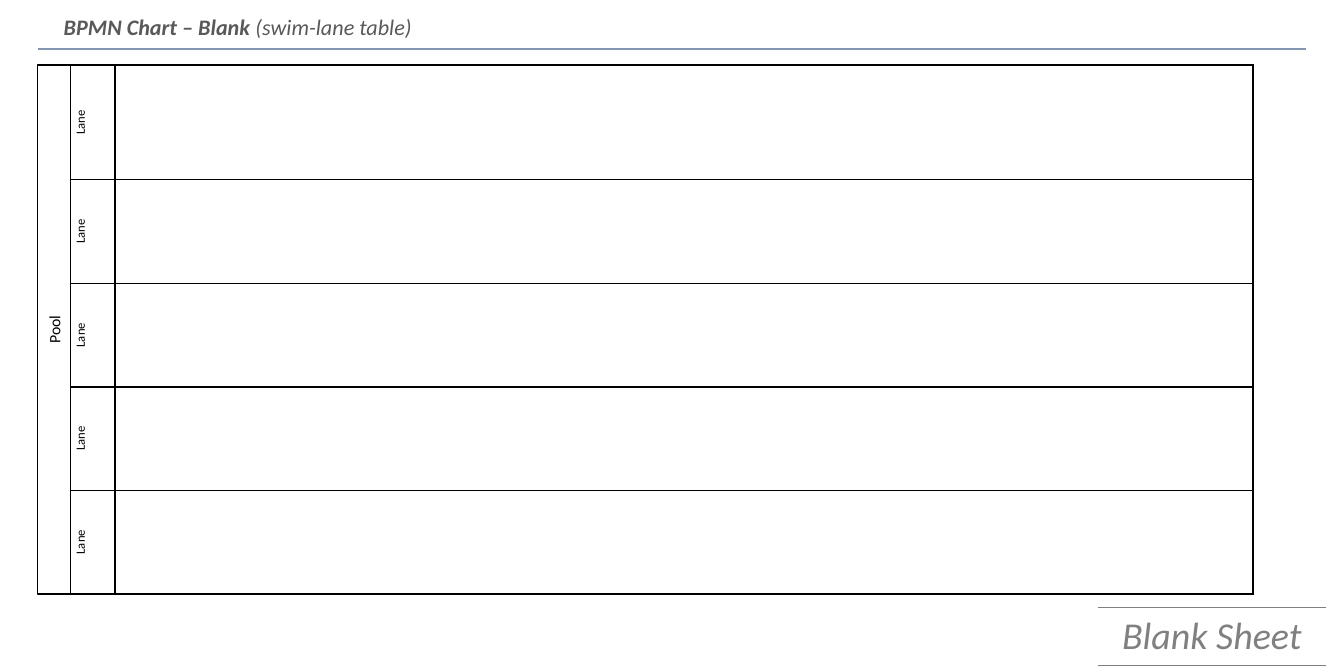
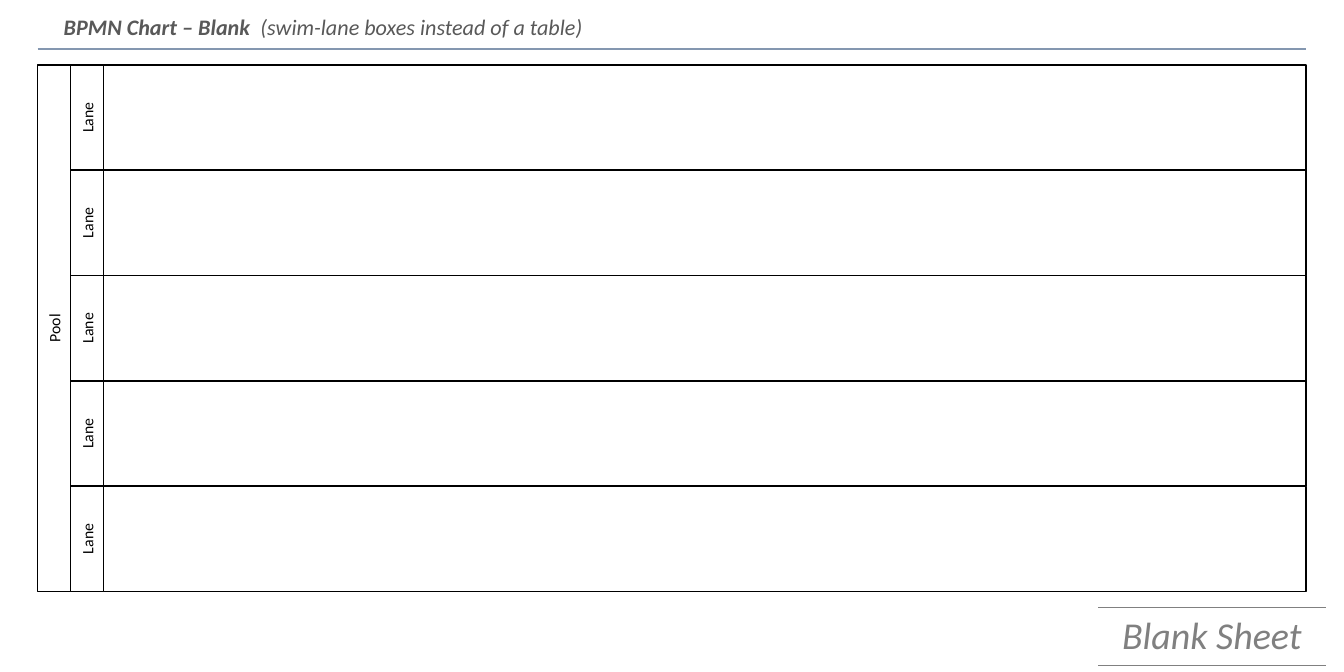
import pptx
import pptx.dml.color
import pptx.enum.shapes
import pptx.enum.text
import pptx.oxml.ns
import pptx.util
from lxml import etree

Inches = pptx.util.Inches
Align = pptx.enum.text.PP_ALIGN
Anchor = pptx.enum.text.MSO_ANCHOR

BLACK, WHITE, GREY = "000000", "FFFFFF", "808080"
TITLE_GREY, RULE_BLUE = "595959", "8497B0"
CM_PER_INCH = 2.54
LANES = 5
POOL_LEFT, POOL_TOP, HEAD_WIDTH = 0.33, 0.57, 0.29
LANE_LEFT = POOL_LEFT + HEAD_WIDTH
RIGHT = 11.48
INSET = Inches(0.02)


def rgb(color):
    return pptx.dml.color.RGBColor.from_string(color)


def write(paragraph, text, size=10, color=BLACK, bold=False, italic=False,
          align=Align.CENTER):
    """Add one formatted run to a paragraph."""
    paragraph.alignment = align
    run = paragraph.add_run()
    run.text = text
    font = run.font
    font.name, font.size = "Calibri", pptx.util.Pt(size)
    font.bold, font.italic = bold, italic
    font.color.rgb = rgb(color)


def sub(parent, tag, **attributes):
    return etree.SubElement(parent, pptx.oxml.ns.qn(tag), **attributes)


class SwimLaneDeck:
    def __init__(self):
        self.deck = pptx.Presentation()
        # Custom page of 30 by 15 cm, not the 4:3 preset
        self.deck.slide_width = Inches(30 / CM_PER_INCH)
        self.deck.slide_height = Inches(15 / CM_PER_INCH)
        self.deck.element.sldSz.attrib.pop("type", None)
        self.slide = None

    def start(self, name, remark):
        """New slide with the shared title, rule and badge."""
        self.slide = self.deck.slides.add_slide(self.deck.slide_layouts[5])
        self.title(name, remark)
        self.rule(POOL_LEFT, RIGHT, 0.43)
        self.badge("Blank Sheet")

    def title(self, name, remark):
        title = self.slide.shapes.title
        title.left, title.top = Inches(0.46), Inches(0.07)
        title.width, title.height = Inches(6.4), Inches(0.34)
        frame = title.text_frame
        frame.word_wrap = True
        frame.auto_size = pptx.enum.text.MSO_AUTO_SIZE.NONE
        frame.vertical_anchor = Anchor.TOP
        for text, bold in ((name, True), (remark, False)):
            write(frame.paragraphs[0], text, size=14, color=TITLE_GREY,
                  bold=bold, italic=True, align=Align.LEFT)

    def rule(self, left, right, y):
        rule = self.slide.shapes.add_connector(
            pptx.enum.shapes.MSO_CONNECTOR.STRAIGHT,
            Inches(left), Inches(y), Inches(right), Inches(y))
        rule.line.color.rgb = rgb(RULE_BLUE)
        rule.line.width = pptx.util.Pt(1.5)
        sub(rule._element.spPr, "a:effectLst")

    def table(self, left, top, widths, heights):
        """Plain table without header or banding."""
        table = self.slide.shapes.add_table(
            len(heights), len(widths), Inches(left), Inches(top),
            Inches(sum(widths)), Inches(sum(heights))).table
        table.first_row = table.horz_banding = False
        for column, width in zip(table.columns, widths):
            column.width = Inches(width)
        for row, height in zip(table.rows, heights):
            row.height = Inches(height)
        return table

    def borders(self, cell, sides=BLACK, ends=BLACK):
        """Border colours: left and right, then top and bottom."""
        properties = cell._tc.get_or_add_tcPr()
        for side, color in zip("LRTB", (sides, sides, ends, ends)):
            line = sub(properties, f"a:ln{side}", w=str(pptx.util.Pt(1)))
            sub(sub(line, "a:solidFill"), "a:srgbClr", val=color)

    def badge(self, text):
        cell = self.table(9.64, 5.34, [2.02], [0.44]).cell(0, 0)
        self.borders(cell, sides=WHITE, ends=GREY)
        cell.fill.background()
        write(cell.text_frame.paragraphs[0], text, size=24, color=GREY,
              italic=True)

    def lane_table(self, widths, heights):
        table = self.table(LANE_LEFT, POOL_TOP, widths, heights)
        for cell in table.iter_cells():
            self.borders(cell)
            cell.fill.solid()
            cell.fill.fore_color.rgb = rgb(WHITE)
        for row in range(len(heights)):
            head = table.cell(row, 0)
            head.margin_left = head.margin_right = INSET
            head.margin_top = head.margin_bottom = INSET
            head.vertical_anchor = Anchor.MIDDLE
            head._tc.tcPr.set("vert", "vert270")
            write(head.text_frame.paragraphs[0], "Lane", size=8)

    def box(self, left, top, width, height, label=None):
        """Outlined box, with an upward label if one is given."""
        box = self.slide.shapes.add_shape(
            pptx.enum.shapes.MSO_SHAPE.RECTANGLE,
            Inches(left), Inches(top), Inches(width), Inches(height))
        box.shadow.inherit = False
        box.fill.solid()
        box.fill.fore_color.rgb = rgb(WHITE)
        box.line.color.rgb = rgb(BLACK)
        box.line.width = pptx.util.Pt(1)
        if label:
            frame = box.text_frame
            frame.margin_left = frame.margin_right = INSET
            frame.margin_top = frame.margin_bottom = INSET
            frame.vertical_anchor = Anchor.MIDDLE
            frame._txBody.bodyPr.set("vert", "vert270")
            write(frame.paragraphs[0], label)

    def pool(self, height):
        self.box(POOL_LEFT, POOL_TOP, HEAD_WIDTH, height, "Pool")

    def lane_boxes(self, pool_height):
        lane_height = pool_height / LANES
        body_left = LANE_LEFT + HEAD_WIDTH
        for lane in range(LANES):
            top = POOL_TOP + lane * lane_height
            self.box(LANE_LEFT, top, HEAD_WIDTH, lane_height, "Lane")
            self.box(body_left, top, RIGHT - body_left, lane_height)


def main():
    chart = SwimLaneDeck()

    # Lanes as a table
    chart.start("BPMN Chart – Blank ", "(swim-lane table)")
    lane_heights = [1.01] + [0.91] * (LANES - 1)
    chart.lane_table([0.39, 10], lane_heights)
    chart.pool(sum(lane_heights))

    # Lanes as boxes
    chart.start("BPMN Chart – Blank ", " (swim-lane boxes instead of a table)")
    pool_height = 4.63
    chart.pool(pool_height)
    chart.lane_boxes(pool_height)

    chart.deck.save("out.pptx")


if __name__ == "__main__":
    main()
